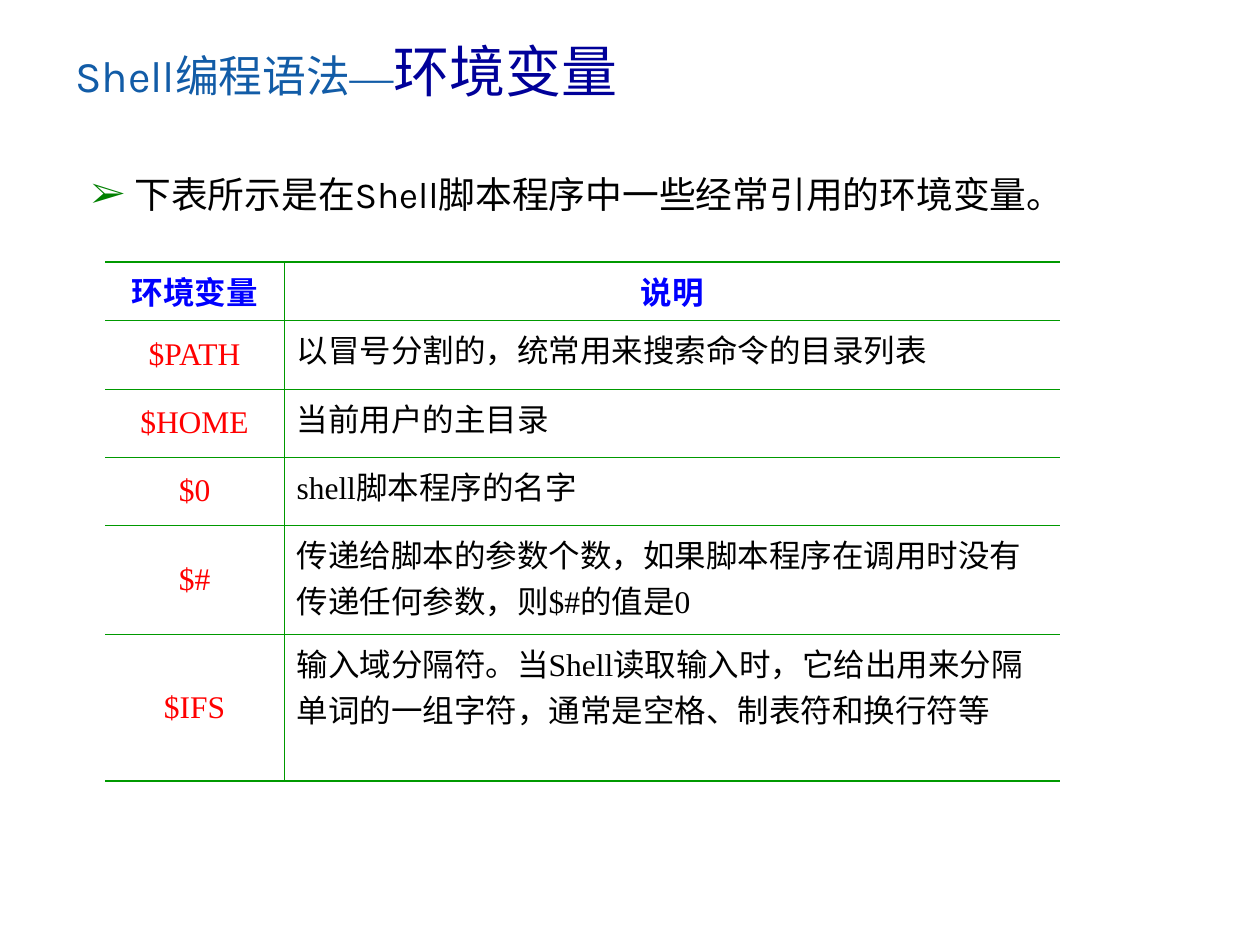
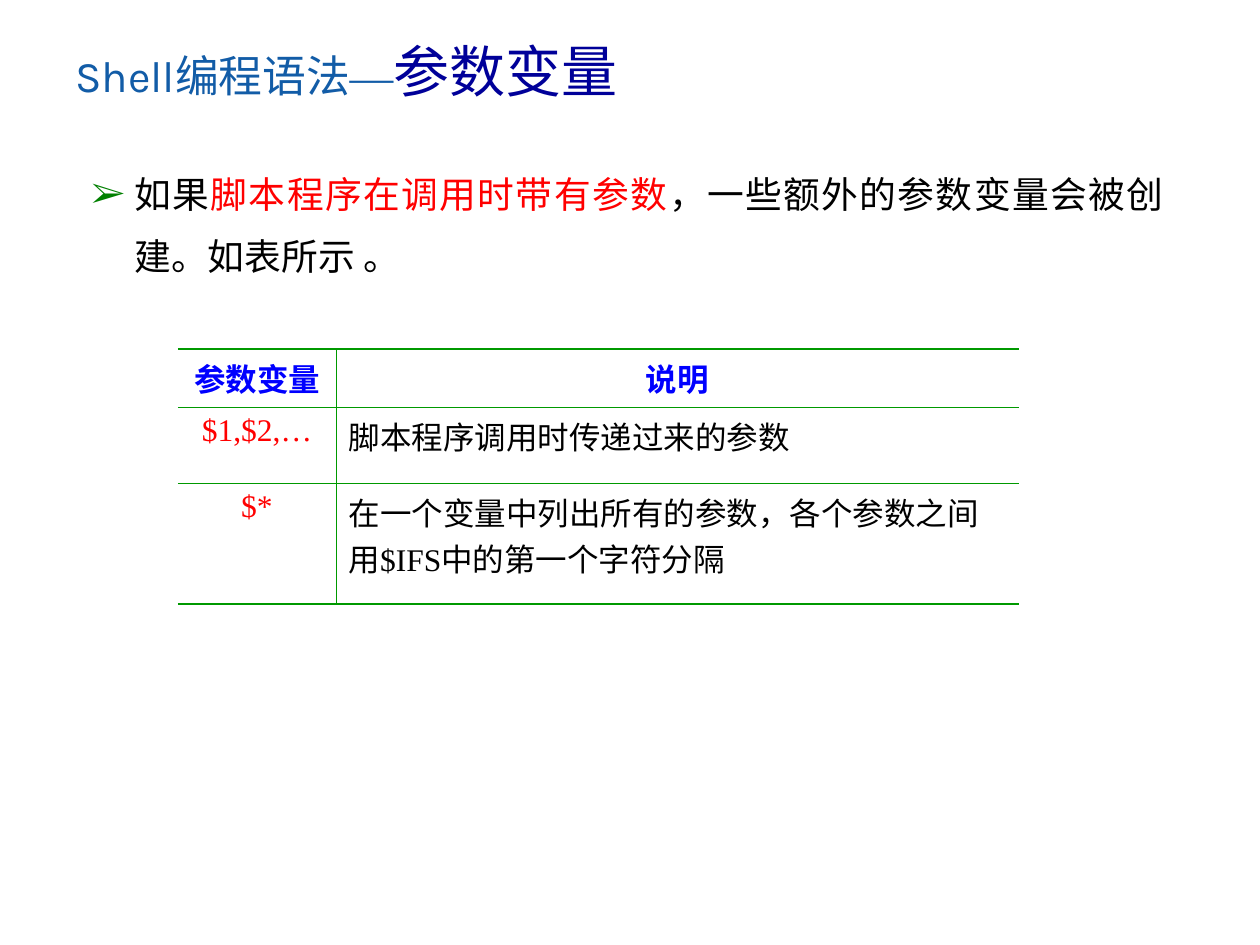
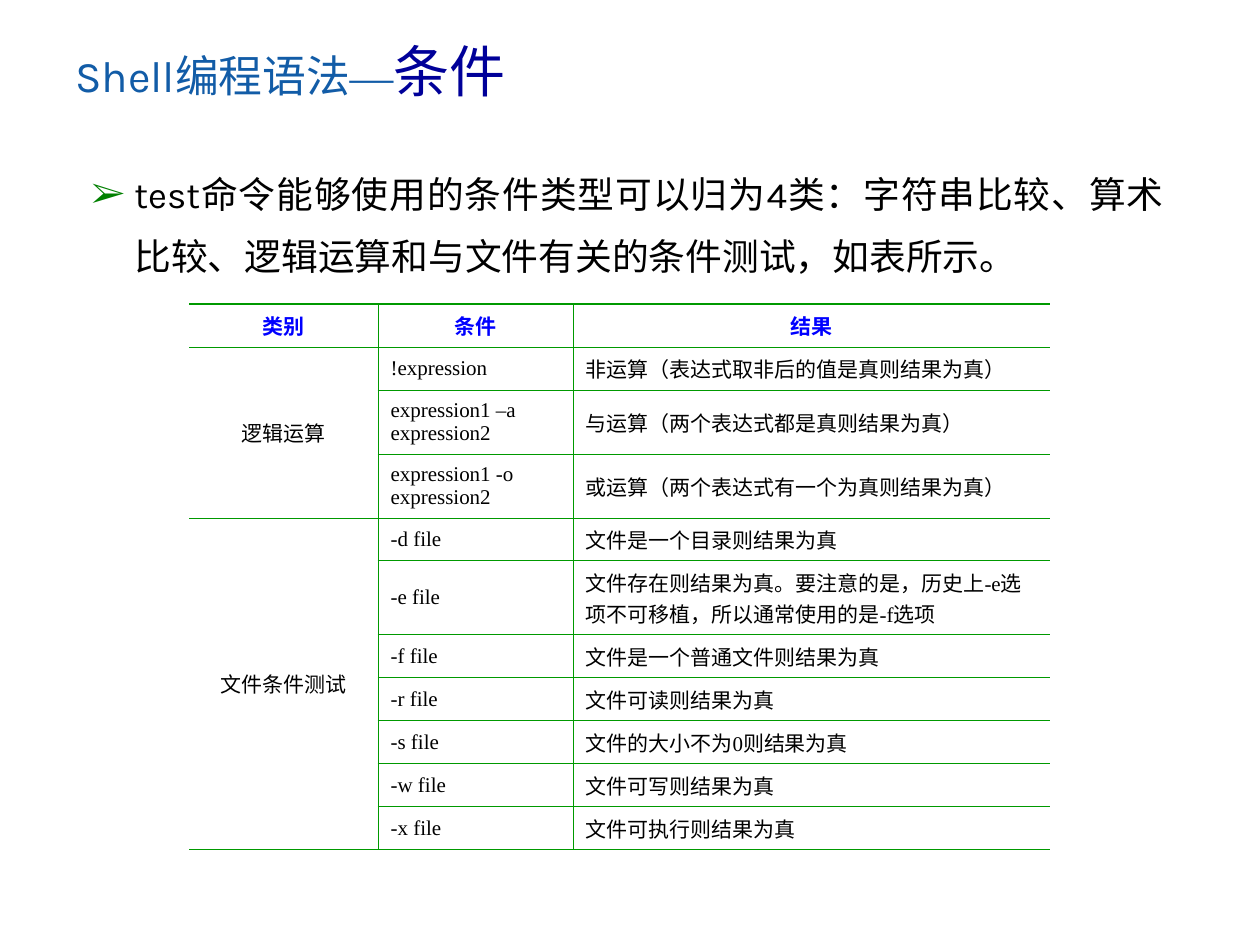
from lxml import etree
from pptx import Presentation
from pptx.dml.color import RGBColor
from pptx.enum.text import MSO_ANCHOR, PP_ALIGN
from pptx.oxml.ns import qn
from pptx.util import Emu, Pt

CENTER, LEFT, JUSTIFY = PP_ALIGN.CENTER, PP_ALIGN.LEFT, PP_ALIGN.JUSTIFY
TOP, MIDDLE = MSO_ANCHOR.TOP, MSO_ANCHOR.MIDDLE
PX_PER_INCH = 126
HEADING_FONT, TABLE_FONT = "Karla", "Times New Roman"
SERIES_BLUE, TOPIC_BLUE, HEADER_BLUE = "125CA7", "000099", "0000FF"
BLACK, RED, BULLET_GREEN, RULE_GREEN = "000000", "FF0000", "008000", "009900"
THIN, THICK = 0.45, 1.08

ENVIRONMENT_ROWS = [
    ("环境变量", "说明"),
    ("$PATH", "以冒号分割的，统常用来搜索命令的目录列表"),
    ("$HOME", "当前用户的主目录"),
    ("$0", "shell脚本程序的名字"),
    ("$#", "传递给脚本的参数个数，如果脚本程序在调用时没有传递任何参数，则$#的值是0"),
    ("$IFS", "输入域分隔符。当Shell读取输入时，它给出用来分隔单词的一组字符，通常是空格、制表符和换行符等"),
]
PARAMETER_ROWS = [
    ("参数变量", "说明"),
    ("$1,$2,…", "脚本程序调用时传递过来的参数"),
    ("$*", "在一个变量中列出所有的参数，各个参数之间用$IFS中的第一个字符分隔"),
]
CONDITION_ROWS = [
    ("类别", "条件", "结果"),
    ("逻辑运算", "!expression", "非运算（表达式取非后的值是真则结果为真）"),
    ("", "expression1 –a expression2", "与运算（两个表达式都是真则结果为真）"),
    ("", "expression1 -o expression2", "或运算（两个表达式有一个为真则结果为真）"),
    ("文件条件测试", "-d file", "文件是一个目录则结果为真"),
    ("", "-e file", "文件存在则结果为真。要注意的是，历史上-e选项不可移植，所以通常使用的是-f选项"),
    ("", "-f file", "文件是一个普通文件则结果为真"),
    ("", "-r file", "文件可读则结果为真"),
    ("", "-s file", "文件的大小不为0则结果为真"),
    ("", "-w file", "文件可写则结果为真"),
    ("", "-x file", "文件可执行则结果为真"),
]


def px(length):
    return Emu(round(length * 914400 / PX_PER_INCH))


def color(value):
    return RGBColor.from_string(value)


def style_font(font, name, size, value, bold=False):
    font.name, font.size, font.bold = name, Pt(size), bold
    font.color.rgb = color(value)


def set_east_asian(properties, name):
    etree.SubElement(properties, qn("a:ea"), typeface=name)


def add_text(page, left, top, width, height, spans, size):
    box = page.shapes.add_textbox(px(left), px(top), px(width), px(height))
    box.text_frame.word_wrap = True
    para = box.text_frame.paragraphs[0]
    style_font(para.font, HEADING_FONT, size, spans[0][1])
    set_east_asian(para._p.pPr.find(qn("a:defRPr")), HEADING_FONT)
    for text, value in spans:
        span = para.add_run()
        span.text = text
        if value != spans[0][1]:
            span.font.color.rgb = color(value)
    return para


def add_title(page, topic):
    spans = [("Shell编程语法", SERIES_BLUE), ("—", SERIES_BLUE), (topic, TOPIC_BLUE)]
    para = add_text(page, 63, 38, 1134, 78, spans, 25)
    para.line_spacing = 0.9
    series, dash, subject = para.runs
    dash.font.name = TABLE_FONT
    set_east_asian(dash._r.rPr, TABLE_FONT)
    subject.font.size = Pt(32)


def add_bullet(page, height, spans):
    para = add_text(page, 63, 148, 1113, height, spans, 21)
    para.alignment = JUSTIFY
    para.line_spacing = 1.4
    para.space_before = Pt(5.2)
    properties = para._p.pPr
    properties.set("marL", str(px(59)))
    properties.set("indent", str(-px(43)))
    properties.set("hangingPunct", "0")
    bullet_color = etree.Element(qn("a:buClr"))
    etree.SubElement(bullet_color, qn("a:srgbClr"), val=BULLET_GREEN)
    bullet_font = etree.Element(qn("a:buFont"), typeface=TABLE_FONT)
    bullet = etree.Element(qn("a:buChar"), char="➢")
    defaults = properties.find(qn("a:defRPr"))
    for element in (bullet_color, bullet_font, bullet):
        defaults.addprevious(element)


def set_borders(cell, widths):
    properties = cell._tc.get_or_add_tcPr()
    for position, (side, width) in enumerate(zip("LRTB", widths)):
        line = etree.Element(qn(f"a:ln{side}"))
        if width:
            line.set("w", str(Pt(width)))
            fill = etree.SubElement(line, qn("a:solidFill"))
            etree.SubElement(fill, qn("a:srgbClr"), val=RULE_GREEN)
        else:
            etree.SubElement(line, qn("a:noFill"))
        properties.insert(position, line)


def add_table(page, left, top, widths, heights, rows, size,
              key_color=RED, key_anchor=TOP, anchor=TOP, key_groups=()):
    frame = page.shapes.add_table(len(rows), len(widths), px(left), px(top),
                                  px(sum(widths)), px(sum(heights)))
    table = frame.table
    table.first_row = table.horz_banding = False
    for column, width in zip(table.columns, widths):
        column.width = px(width)
    for row, height in zip(table.rows, heights):
        row.height = px(height)
    for first, last in key_groups:
        table.cell(first, 0).merge(table.cell(last, 0))
    last_column = len(widths) - 1
    for r, texts in enumerate(rows):
        for c, text in enumerate(texts):
            cell = table.cell(r, c)
            header, key = r == 0, c == 0
            at_bottom = r + cell.span_height == len(rows)
            cell.fill.background()
            cell.vertical_anchor = key_anchor if key and not header else anchor
            set_borders(cell, (0 if key else THIN,
                               0 if c == last_column else THIN,
                               THICK if header else THIN,
                               THICK if at_bottom else THIN))
            para = cell.text_frame.paragraphs[0]
            para.alignment = CENTER if header or key else LEFT
            value = HEADER_BLUE if header else key_color if key else BLACK
            style_font(para.font, TABLE_FONT, size, value, header)
            if text:
                para.add_run().text = text


def main():
    deck = Presentation()
    deck.slide_width, deck.slide_height = px(1260), px(945)
    blank = deck.slide_layouts[6]

    page = deck.slides.add_slide(blank)
    add_title(page, "环境变量")
    add_bullet(page, 83, [("下表所示是在Shell脚本程序中一些经常引用的环境变量。", BLACK)])
    add_table(page, 105, 262, [179, 776], [58, 69, 68, 68, 109, 147],
              ENVIRONMENT_ROWS, 18, key_anchor=MIDDLE)

    page = deck.slides.add_slide(blank)
    add_title(page, "参数变量")
    add_bullet(page, 156, [("如果", BLACK), ("脚本程序在调用时带有参数", RED),
                           ("，一些额外的参数变量会被创建。如表所示 。", BLACK)])
    add_table(page, 178, 349, [158, 683], [58, 76, 121], PARAMETER_ROWS, 18)

    page = deck.slides.add_slide(blank)
    add_title(page, "条件")
    add_bullet(page, 156, [("test命令能够使用的条件类型可以归为4类：字符串比较、算术比较、"
                            "逻辑运算和与文件有关的条件测试，如表所示。", BLACK)])
    tall_rows = {2: 64, 3: 64, 5: 74}
    heights = [tall_rows.get(r, 43) for r in range(len(CONDITION_ROWS))]
    add_table(page, 189, 304, [189, 195, 477], heights, CONDITION_ROWS, 12,
              key_color=BLACK, key_anchor=MIDDLE, anchor=MIDDLE,
              key_groups=[(1, 3), (4, 10)])

    deck.save("out.pptx")


if __name__ == "__main__":
    main()
